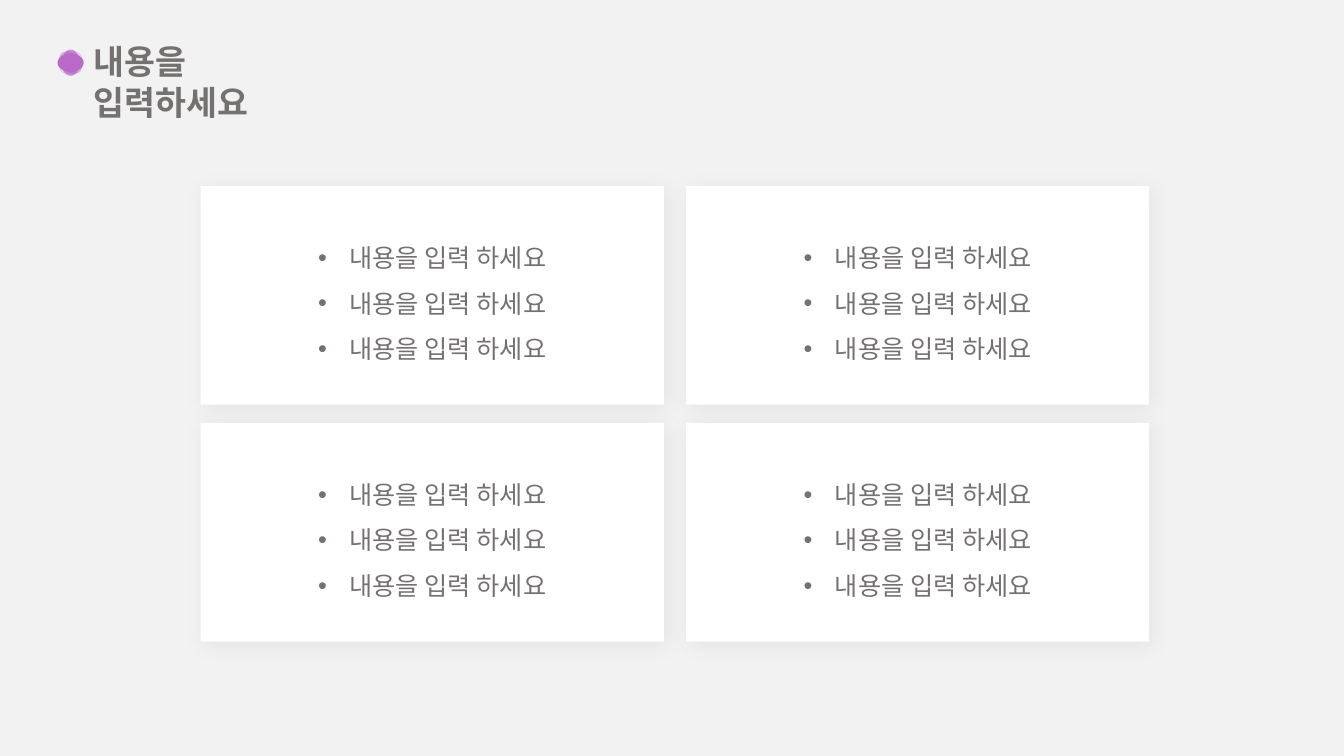
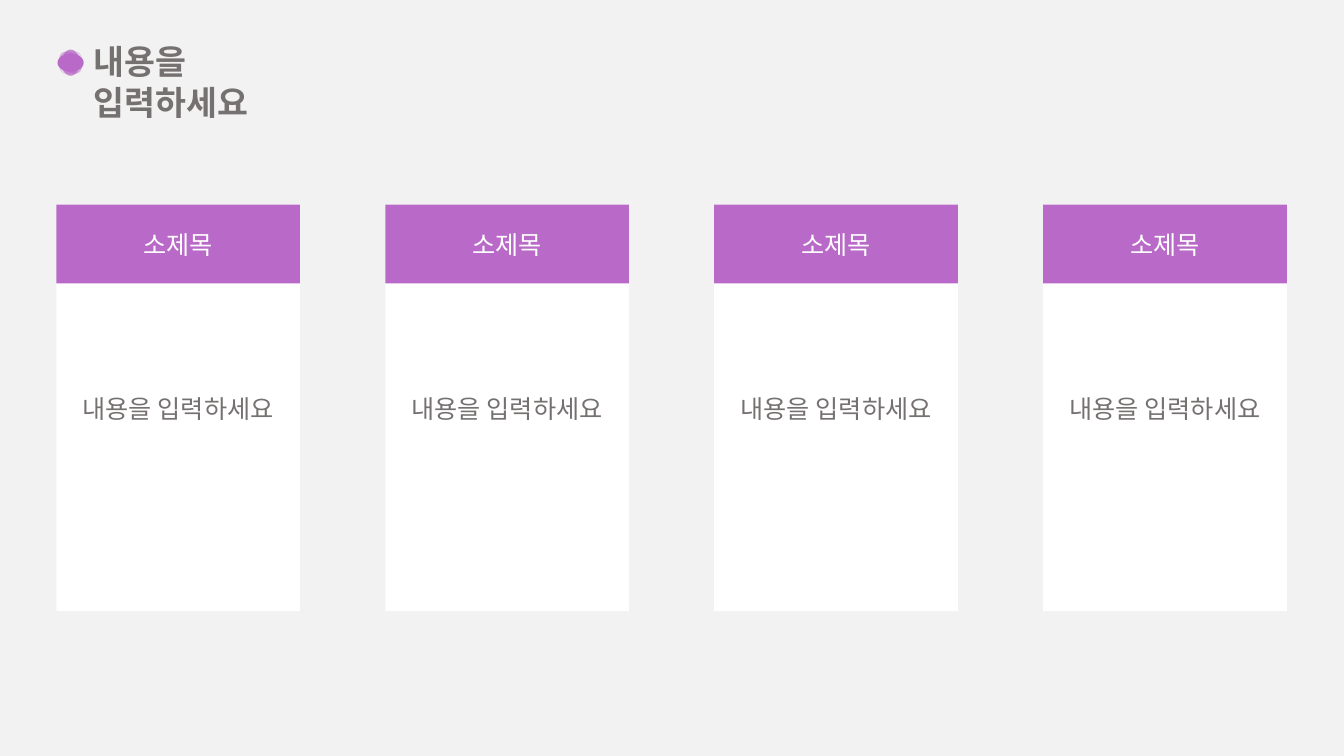
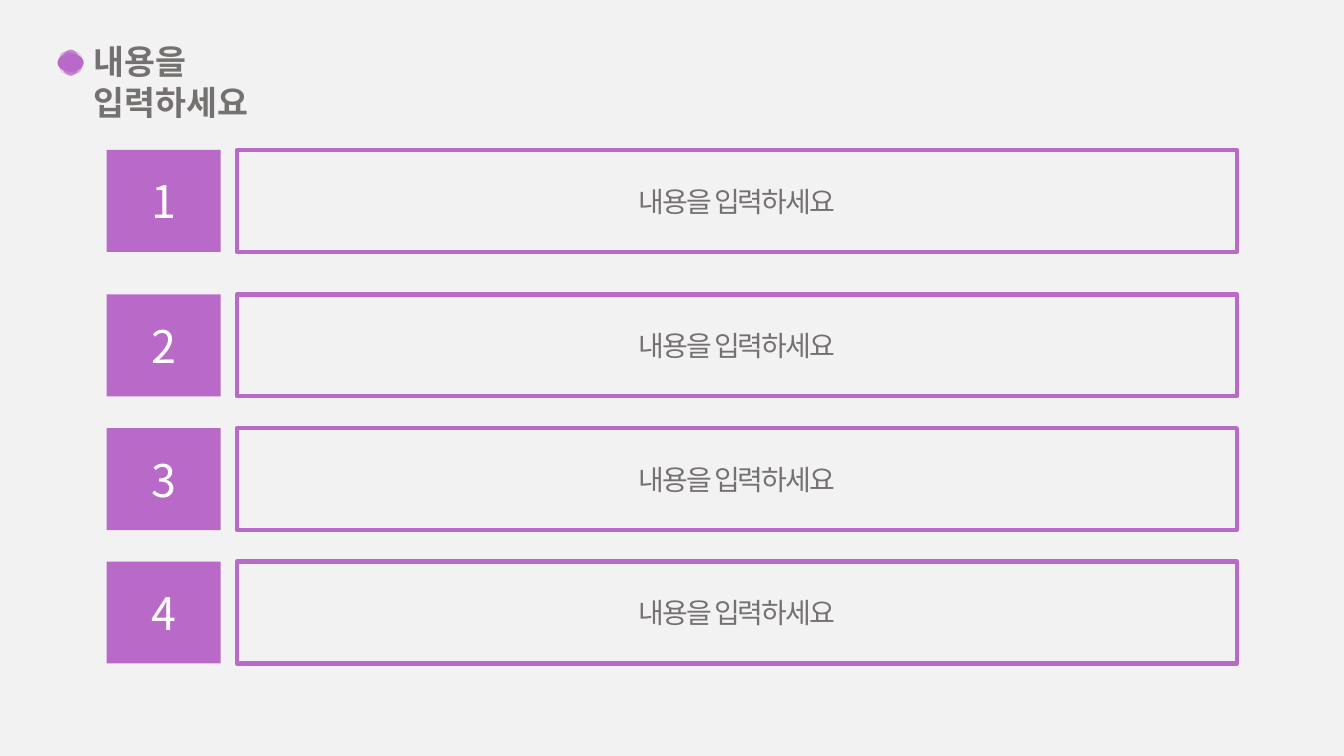
from itertools import product

from lxml.etree import SubElement
from pptx import Presentation
from pptx.dml.color import RGBColor
from pptx.enum.shapes import MSO_SHAPE as SHAPE
from pptx.enum.text import MSO_ANCHOR as ANCHOR, MSO_AUTO_SIZE as AUTO_SIZE, PP_ALIGN as ALIGN
from pptx.oxml.ns import qn
from pptx.util import Cm, Pt

FONT = "Noto Sans CJK KR"
COLOURS = {
    "page": "F2F2F2",
    "accent": "B969C8",
    "card": "FFFFFF",
    "text": "767171",
    "shadow": "000000",
}
TITLE_LINES = ("내용을", "입력하세요")
TITLE_ONLY = 5


def colour(name):
    return RGBColor.from_string(COLOURS[name])


def add_xml(parent, tag, **attributes):
    return SubElement(parent, qn(tag), attributes)


def style_font(font, size, name, bold=False):
    font.size = Pt(size)
    font.bold = bold
    font.name = FONT
    font.color.rgb = colour(name)


def add_span(para, text, size, name, bold=False, spacing=None):
    """Add a run; spacing is the letter spacing in points."""
    span = para.add_run()
    span.text = text
    style_font(span.font, size, name, bold)
    properties = span.font._element
    add_xml(properties, "a:ea", typeface=FONT)
    if spacing is not None:
        properties.set("spc", str(round(spacing * 100)))


def add_bullet(para):
    indent = Cm(0.79)
    properties = para._p.get_or_add_pPr()
    properties.set("marL", str(indent))
    properties.set("indent", str(-indent))
    add_xml(properties, "a:buFont", typeface="Arial")
    add_xml(properties, "a:buChar", char="•")


def add_shadow(box):
    effects = box._element.spPr.find(qn("a:effectLst"))
    shadow = add_xml(effects, "a:outerShdw", blurRad=str(Pt(15)), dist=str(Pt(3)),
                     dir="2700000", algn="tl", rotWithShape="0")
    shade = add_xml(shadow, "a:srgbClr", val=COLOURS["shadow"])
    add_xml(shade, "a:alpha", val="5000")


def add_shape(shapes, kind, left, top, width, height, fill=None, line=None):
    """Add a shape measured in centimetres, without shadow."""
    shape = shapes.add_shape(kind, Cm(left), Cm(top), Cm(width), Cm(height))
    shape.shadow.inherit = False
    if fill:
        shape.fill.solid()
        shape.fill.fore_color.rgb = colour(fill)
    else:
        shape.fill.background()
    if line:
        shape.line.color.rgb = colour(line)
        shape.line.width = Pt(3)
    else:
        shape.line.fill.background()
    return shape


def add_box(page, place, lines, size, name, fill=None, line=None,
            bullets=False, spacing=None):
    box = add_shape(page.shapes, SHAPE.RECTANGLE, *place, fill=fill, line=line)
    frame = box.text_frame
    frame.word_wrap = True
    frame.vertical_anchor = ANCHOR.MIDDLE
    for index, text in enumerate(lines):
        para = frame.add_paragraph() if index else frame.paragraphs[0]
        para.alignment = ALIGN.CENTER
        if bullets:
            add_bullet(para)
            para.line_spacing = 1.5
        add_span(para, text, size, name, spacing=spacing)
    return box


def add_title_mark(page):
    """Overlap four turned ellipses of rising opacity beside the title."""
    mark = page.shapes.add_group_shape()
    for angle, opacity in ((90, 75), (45, 50), (315, 25), (0, 100)):
        petal = add_shape(mark.shapes, SHAPE.OVAL, 1.45, 1.35, 0.66, 0.46, fill="accent")
        petal.rotation = angle
        if opacity < 100:
            tint = petal._element.spPr.find(qn("a:solidFill"))[0]
            add_xml(tint, "a:alpha", val=str(opacity * 1000))


def add_page(deck):
    page = deck.slides.add_slide(deck.slide_layouts[TITLE_ONLY])
    title = page.shapes.title
    title.left, title.top, title.width, title.height = Cm(2.11), Cm(0.91), Cm(6.96), Cm(2.3)
    frame = title.text_frame
    frame.auto_size = AUTO_SIZE.NONE
    frame.word_wrap = True
    frame.vertical_anchor = ANCHOR.TOP
    para = frame.paragraphs[0]
    para.alignment = ALIGN.LEFT
    para.line_spacing = 1.0
    for index, text in enumerate(TITLE_LINES):
        if index:
            para.add_line_break()
        add_span(para, text, 24, "text", bold=True)
    add_title_mark(page)
    return page


def add_bullet_cards(page):
    for row, column in product(range(2), repeat=2):
        place = (5.06 + column * 12.23, 4.69 + row * 5.97, 11.67, 5.51)
        card = add_box(page, place, ["내용을 입력 하세요"] * 3, 18, "text",
                       fill="card", bullets=True)
        add_shadow(card)


def add_headed_columns(page):
    top, width = 5.16, 6.14
    for column in range(4):
        left = 1.42 + column * 8.29
        add_box(page, (left, top, width, 10.24), ["내용을 입력하세요"], 18, "text", fill="card")
        add_box(page, (left, top, width, 1.98), ["소제목"], 18, "card", fill="accent")


def add_numbered_rows(page):
    height = 2.57
    for number, top in enumerate((3.78, 7.42, 10.79, 14.15), start=1):
        add_box(page, (2.69, top, 2.87, height), [str(number)], 32, "card", fill="accent")
        add_box(page, (5.97, top, 25.2, height), ["내용을 입력하세요"], 20, "text",
                line="accent", spacing=-1.5)


def main():
    deck = Presentation()
    deck.slide_width, deck.slide_height = Cm(33.87), Cm(19.05)
    background = deck.slide_master.background.fill
    background.solid()
    background.fore_color.rgb = colour("page")
    for add_content in (add_bullet_cards, add_headed_columns, add_numbered_rows):
        add_content(add_page(deck))
    deck.save("out.pptx")


if __name__ == "__main__":
    main()
